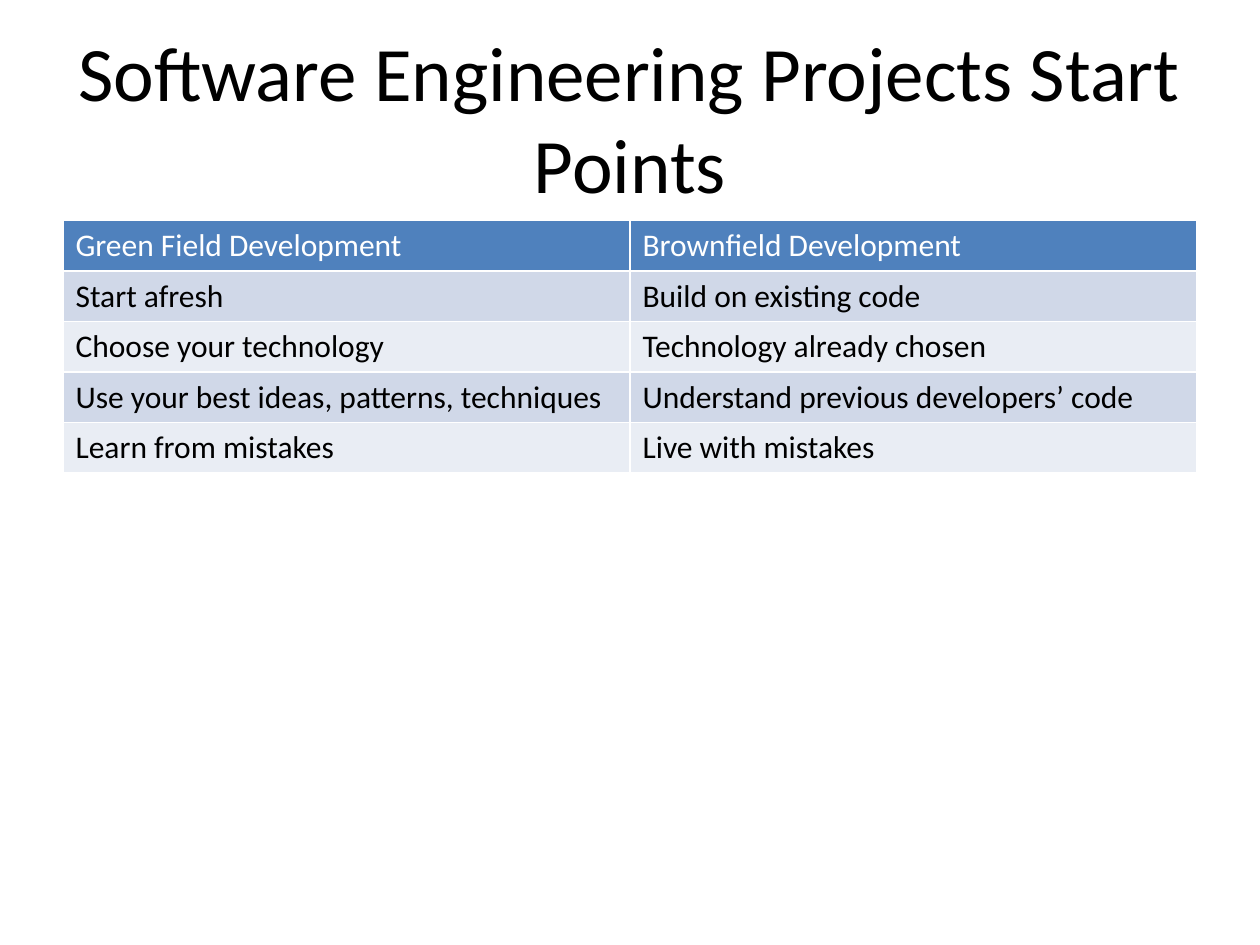
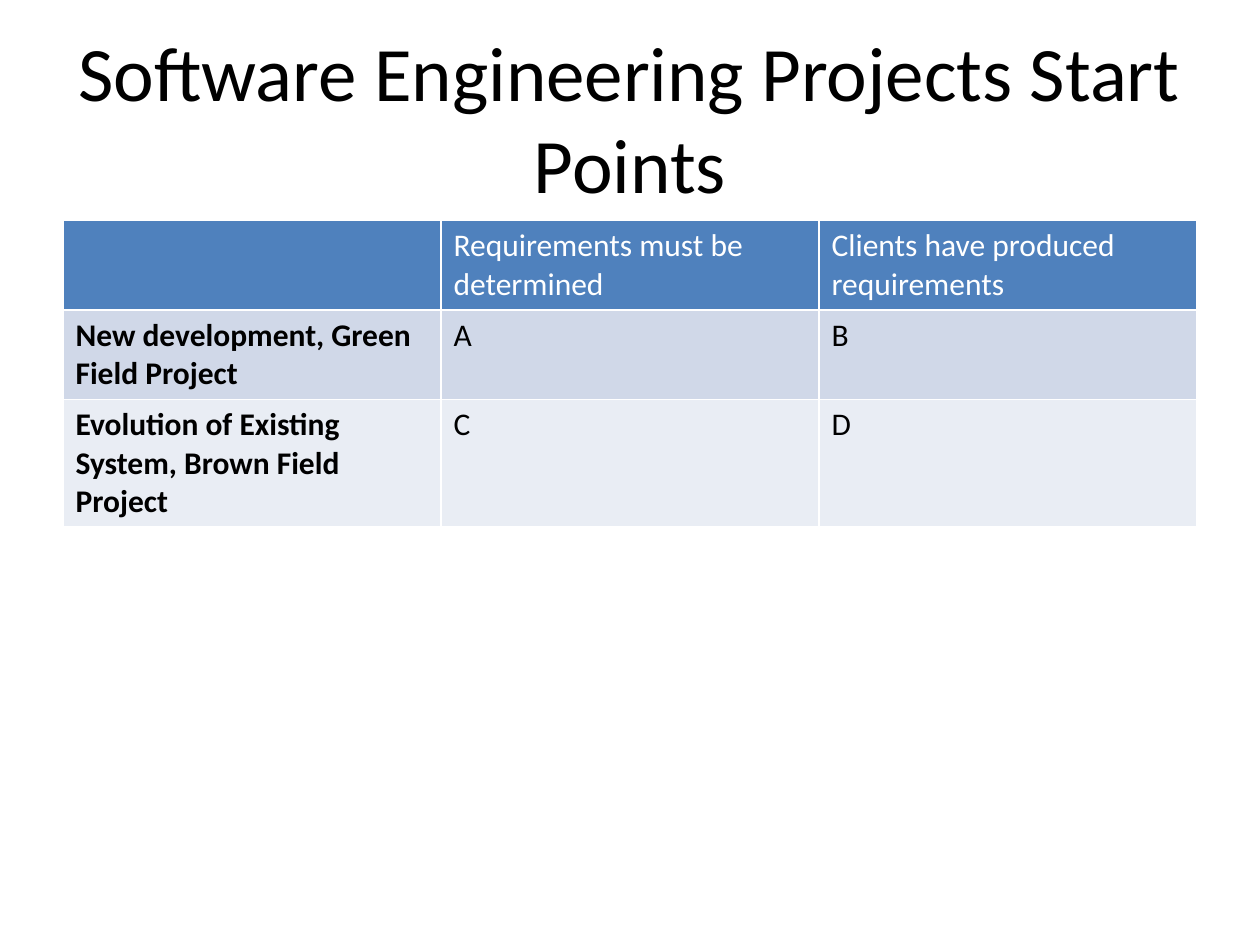
"""Build two slides that compare start points of software projects."""
from dataclasses import dataclass

from lxml import etree
from pptx import Presentation
from pptx.dml.color import RGBColor
from pptx.enum.text import MSO_ANCHOR, PP_ALIGN
from pptx.oxml.ns import qn
from pptx.slide import Slide
from pptx.table import _Cell
from pptx.text.text import _Paragraph
from pptx.util import Emu, Pt

MIDDLE = MSO_ANCHOR.MIDDLE
CENTER = PP_ALIGN.CENTER

PX = 9144
WIDTH, HEIGHT = 1000, 750
LEFT, SPAN = 50, 900
TITLE_TOP, TITLE_TALL = 30, 125
GRID_TOP = 175
BLANK = 6

FONT = "Calibri"
BLACK, WHITE = "000000", "FFFFFF"
HEAD = "4F81BD"
BANDS = ("D0D8E8", "E9EDF4")
TITLE = "Software Engineering Projects Start Points"


@dataclass(frozen=True)
class Grid:
    rows: tuple[tuple[str, ...], ...]
    talls: tuple[int, ...]
    stub: bool = False


GRIDS = (
    Grid(
        rows=(
            ("Green Field Development", "Brownfield Development"),
            ("Start afresh", "Build on existing code"),
            ("Choose your technology", "Technology already chosen"),
            ("Use your best ideas, patterns, techniques",
             "Understand previous developers’ code"),
            ("Learn from mistakes", "Live with mistakes"),
        ),
        talls=(40,) * 5,
    ),
    Grid(
        rows=(
            ("", "Requirements must be determined",
             "Clients have produced requirements"),
            ("New development, Green Field Project", "A", "B"),
            ("Evolution of Existing System, Brown Field Project", "C", "D"),
        ),
        talls=(71, 71, 101),
        stub=True,
    ),
)


def px(size: int) -> Emu:
    return Emu(size * PX)


def rgb(code: str) -> RGBColor:
    return RGBColor.from_string(code)


def style(para: _Paragraph, size: int, color: str, bold: bool = False) -> None:
    font = para.font
    font.name, font.size, font.bold = FONT, Pt(size), bold
    font.color.rgb = rgb(color)


def edge(cell: _Cell, color: str = WHITE) -> None:
    props = cell._tc.get_or_add_tcPr()
    for side in "LRTB":
        line = etree.SubElement(props, qn(f"a:ln{side}"), w=str(Pt(1)))
        fill = etree.SubElement(line, qn("a:solidFill"))
        etree.SubElement(fill, qn("a:srgbClr"), val=color)


def add_title(slide: Slide, text: str) -> None:
    box = slide.shapes.add_textbox(
        px(LEFT), px(TITLE_TOP), px(SPAN), px(TITLE_TALL))
    frame = box.text_frame
    frame.word_wrap = True
    frame.vertical_anchor = MIDDLE
    para = frame.paragraphs[0]
    para.text = text
    para.alignment = CENTER
    style(para, 44, BLACK)


def add_grid(slide: Slide, grid: Grid) -> None:
    table = slide.shapes.add_table(
        len(grid.rows), len(grid.rows[0]), px(LEFT), px(GRID_TOP),
        px(SPAN), px(sum(grid.talls))).table
    table.first_row = table.horz_banding = False
    for row, (texts, tall) in enumerate(zip(grid.rows, grid.talls)):
        table.rows[row].height = px(tall)
        head = row == 0
        back = HEAD if head else BANDS[(row - 1) % 2]
        for col, text in enumerate(texts):
            cell = table.cell(row, col)
            edge(cell)
            cell.fill.solid()
            cell.fill.fore_color.rgb = rgb(back)
            para = cell.text_frame.paragraphs[0]
            para.text = text
            bold = grid.stub and col == 0 and not head
            style(para, 18, WHITE if head else BLACK, bold)


def main() -> None:
    deck = Presentation()
    deck.slide_width, deck.slide_height = px(WIDTH), px(HEIGHT)
    for grid in GRIDS:
        slide = deck.slides.add_slide(deck.slide_layouts[BLANK])
        add_title(slide, TITLE)
        add_grid(slide, grid)
    deck.save("out.pptx")


if __name__ == "__main__":
    main()
